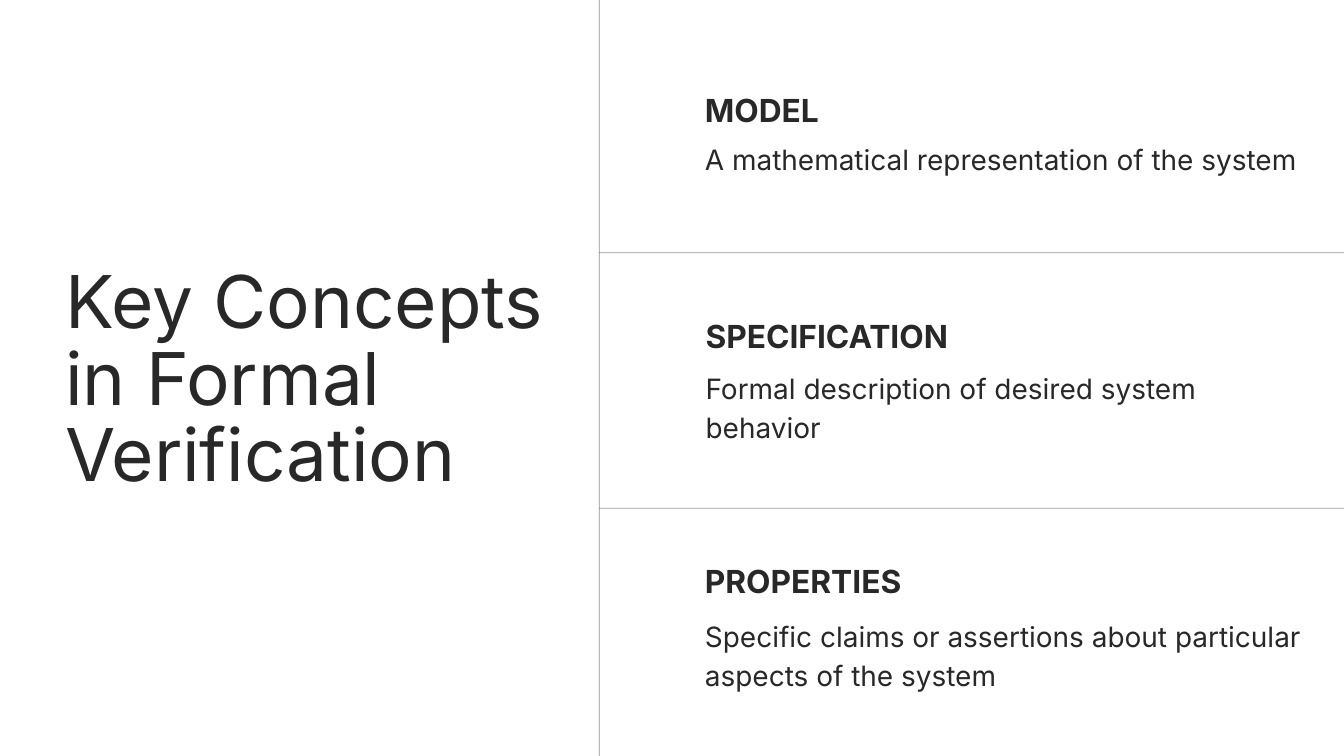
"""Build the slide on key concepts in formal verification."""
from dataclasses import dataclass

from lxml import etree
from pptx import Presentation
from pptx import util as u
from pptx.dml.color import RGBColor
from pptx.enum import shapes, text
from pptx.oxml.ns import qn

PX = 9525
INK = "292828"
FONT = "Inter"
WIDTH, HEIGHT = 1920, 1080
DIVIDER_X = 856
CONCEPT_WIDTH = 867


@dataclass(frozen=True)
class Style:
    """Size and line pitch of a text, in points."""

    size: int
    pitch: float
    bold: bool = False


@dataclass(frozen=True)
class Concept:
    """A named concept with its description and places in px."""

    name: str
    description: str
    left: int
    name_top: int
    description_top: int
    description_height: int


@dataclass(frozen=True)
class Rule:
    """A thin translucent line between two points in px."""

    start: tuple[int, int]
    end: tuple[int, int]
    opacity: int


TITLE = Style(78, 81.9)
NAME = Style(34, 47.6, bold=True)
DESCRIPTION = Style(30, 42)

CONCEPTS = [
    Concept("MODEL", "A mathematical representation of the system",
            1007, 120, 196, 52),
    Concept("SPECIFICATION", "Formal description of desired system behavior",
            1008, 444, 523, 107),
    Concept("PROPERTIES",
            "Specific claims or assertions about particular aspects of the system",
            1007, 793, 877, 107),
]

RULES = [
    Rule((DIVIDER_X, HEIGHT + 12), (DIVIDER_X, -12), 50),
    Rule((DIVIDER_X, 361), (WIDTH, 361), 48),
    Rule((DIVIDER_X, 726), (WIDTH, 726), 48),
]


def px(length: int) -> u.Emu:
    """Turn px into EMU."""
    return u.Emu(length * PX)


def colour(value: str) -> RGBColor:
    """Turn a hex string into a colour."""
    return RGBColor.from_string(value)


def draw_rule(parent, rule: Rule) -> None:
    """Draw a translucent line without a shadow."""
    line = parent.add_connector(shapes.MSO_CONNECTOR.STRAIGHT,
                                *map(px, rule.start + rule.end))
    line.line.width = u.Pt(0.75)
    line.line.color.rgb = colour(INK)
    properties = line._element.spPr
    ink = properties.find(".//" + qn("a:srgbClr"))
    etree.SubElement(ink, qn("a:alpha"), val=str(rule.opacity * 1000))
    etree.SubElement(properties, qn("a:effectLst"))


def draw_text(parent, words: str, box: tuple[int, int, int, int],
              style: Style) -> None:
    """Draw wrapped text without margins."""
    frame = parent.add_textbox(*map(px, box)).text_frame
    frame.margin_left = frame.margin_right = 0
    frame.margin_top = frame.margin_bottom = 0
    frame.word_wrap = True
    frame.auto_size = text.MSO_AUTO_SIZE.SHAPE_TO_FIT_TEXT
    frame.text = words
    paragraph = frame.paragraphs[0]
    paragraph.line_spacing = u.Pt(style.pitch)
    font = paragraph.runs[0].font
    font.name = FONT
    font.size = u.Pt(style.size)
    font.bold = style.bold
    font.color.rgb = colour(INK)


def draw_concept(parent, concept: Concept) -> None:
    """Draw a concept's name and description as one group."""
    group = parent.add_group_shape().shapes
    draw_text(group, concept.name,
              (concept.left, concept.name_top, CONCEPT_WIDTH, 60), NAME)
    draw_text(group, concept.description,
              (concept.left, concept.description_top, CONCEPT_WIDTH,
               concept.description_height), DESCRIPTION)


def main() -> None:
    """Build and save the presentation."""
    deck = Presentation()
    deck.slide_width, deck.slide_height = px(WIDTH), px(HEIGHT)
    slide = deck.slides.add_slide(deck.slide_layouts[6])
    slide.background.fill.solid()
    slide.background.fill.fore_color.rgb = colour("FFFFFF")
    for rule in RULES:
        draw_rule(slide.shapes, rule)
    draw_text(slide.shapes, "Key Concepts in Formal Verification",
              (93, 381, 715, 330), TITLE)
    for concept in CONCEPTS:
        draw_concept(slide.shapes, concept)
    deck.save("out.pptx")


if __name__ == "__main__":
    main()
